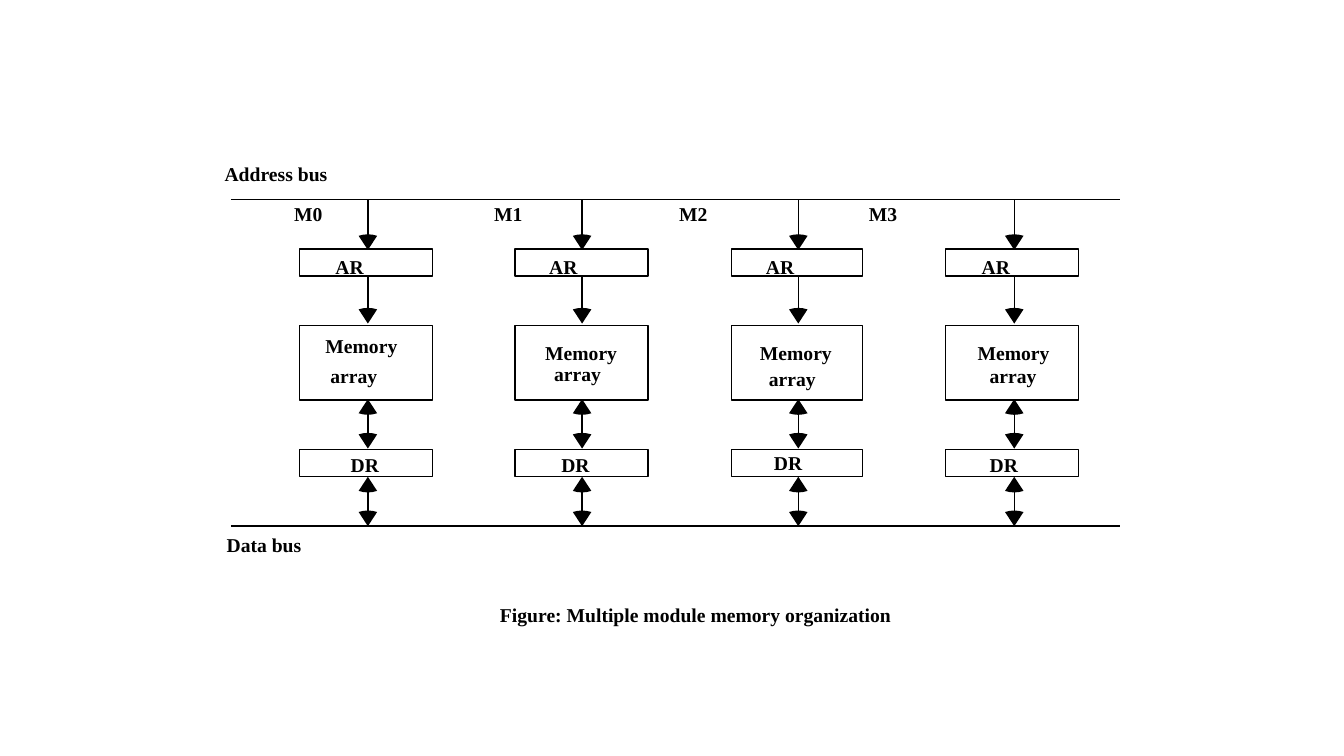
from dataclasses import dataclass

from lxml import etree
from pptx import Presentation
from pptx.dml.color import RGBColor
from pptx.enum.shapes import MSO_CONNECTOR, MSO_SHAPE
from pptx.enum.text import PP_ALIGN
from pptx.oxml.ns import qn
from pptx.util import Pt

STRAIGHT = MSO_CONNECTOR.STRAIGHT
RECTANGLE = MSO_SHAPE.RECTANGLE
LEFT, CENTER = PP_ALIGN.LEFT, PP_ALIGN.CENTER


@dataclass(frozen=True)
class Theme:
    ink: RGBColor = RGBColor(0, 0, 0)
    font: str = "Times New Roman"
    text_size: int = 14
    line_width: int = 1


theme = Theme()
presentation = Presentation()
presentation.slide_width, presentation.slide_height = Pt(960), Pt(540)
slide = presentation.slides.add_slide(presentation.slide_layouts[6])


def add_label(text, left, top, width, align=LEFT):
    frame = slide.shapes.add_textbox(Pt(left), Pt(top), Pt(width), Pt(24)).text_frame
    frame.word_wrap = True
    paragraph = frame.paragraphs[0]
    paragraph.alignment = align
    run = paragraph.add_run()
    run.text = text
    run.font.name = theme.font
    run.font.size = Pt(theme.text_size)
    run.font.bold = True
    run.font.color.rgb = theme.ink


def add_line(x1, y1, x2, y2):
    line = slide.shapes.add_connector(STRAIGHT, Pt(x1), Pt(y1), Pt(x2), Pt(y2))
    line.line.color.rgb = theme.ink
    line.line.width = Pt(theme.line_width)
    etree.SubElement(line._element.spPr, qn("a:effectLst"))


ADDRESS_BUS_Y, DATA_BUS_Y = 142.56, 375.84
REGISTER_HEIGHT, ARRAY_HEIGHT = 19.44, 53.28
AR_TOP, ARRAY_TOP, DR_TOP = 177.84, 232.56, 321.12

# Arrowhead outline from its tip: half width and distance back along the shaft
HEAD_OUTLINE = [(-6.6, 10.1), (-3.4, 10.9), (0, 11.2), (3.4, 10.9), (6.6, 10.1)]
HEAD_LENGTH = 10.4

# Shaft start, shaft end, whether the arrow also points up
arrows = [
    (ADDRESS_BUS_Y, 178.56, False),
    (AR_TOP + REGISTER_HEIGHT, 231.12, False),
    (285.12, 320.4, True),
    (340.56, DATA_BUS_Y, True),
]

# Box left, box width, arrow x, then the left and top of each label
modules = [
    (213.84, 95.04, 262.8,
     {"M0": (203, 140.4), "AR": (232.56, 178.56), "Memory": (225.36, 234.72),
      "array": (228.96, 256.32), "DR": (243.36, 319.68)}),
    (367.92, 95.04, 415.8,
     {"M1": (345.8, 140.4), "AR": (385.2, 178.56), "Memory": (382.32, 239.76),
      "array": (388.8, 254.88), "DR": (393.84, 319.68)}),
    (522.72, 93.6, 570.24,
     {"M2": (478, 140.4), "AR": (540, 178.56), "Memory": (535.68, 239.76),
      "array": (542.16, 258.48), "DR": (545.76, 318.24)}),
    (675.36, 95.04, 724.5,
     {"M3": (613.5, 140.4), "AR": (694.08, 178.56), "Memory": (691.2, 239.76),
      "array": (699.84, 256.32), "DR": (699.84, 319.68)}),
]
label_widths = {"Memory": 70, "array": 52}

for box_left, box_width, arrow_x, labels in modules:
    for top, height in [(AR_TOP, REGISTER_HEIGHT), (ARRAY_TOP, ARRAY_HEIGHT),
                        (DR_TOP, REGISTER_HEIGHT)]:
        box = slide.shapes.add_shape(
            RECTANGLE, Pt(box_left), Pt(top), Pt(box_width), Pt(height))
        box.shadow.inherit = False
        box.fill.background()
        box.line.color.rgb = theme.ink
        box.line.width = Pt(theme.line_width)

    for start, end, two_way in arrows:
        shaft_start = start + HEAD_LENGTH if two_way else start
        add_line(arrow_x, shaft_start, arrow_x, end - HEAD_LENGTH)
        tips = [(end, -1), (start, 1)] if two_way else [(end, -1)]
        for tip_y, direction in tips:
            builder = slide.shapes.build_freeform(Pt(arrow_x), Pt(tip_y))
            builder.add_line_segments(
                [(Pt(arrow_x + dx), Pt(tip_y + direction * dy))
                 for dx, dy in HEAD_OUTLINE], close=True)
            head = builder.convert_to_shape()
            head.shadow.inherit = False
            head.fill.solid()
            head.fill.fore_color.rgb = theme.ink
            head.line.fill.background()

    for text, (left, top) in labels.items():
        add_label(text, left, top, label_widths.get(text, 38))

for bus_y in (ADDRESS_BUS_Y, DATA_BUS_Y):
    add_line(164.88, bus_y, 799.92, bus_y)
add_label("Address bus", 153.36, 112.32, 92)
add_label("Data bus", 154.8, 377.28, 72)
add_label("Figure: Multiple module memory organization", 257, 426.96, 480, CENTER)

presentation.save("out.pptx")
